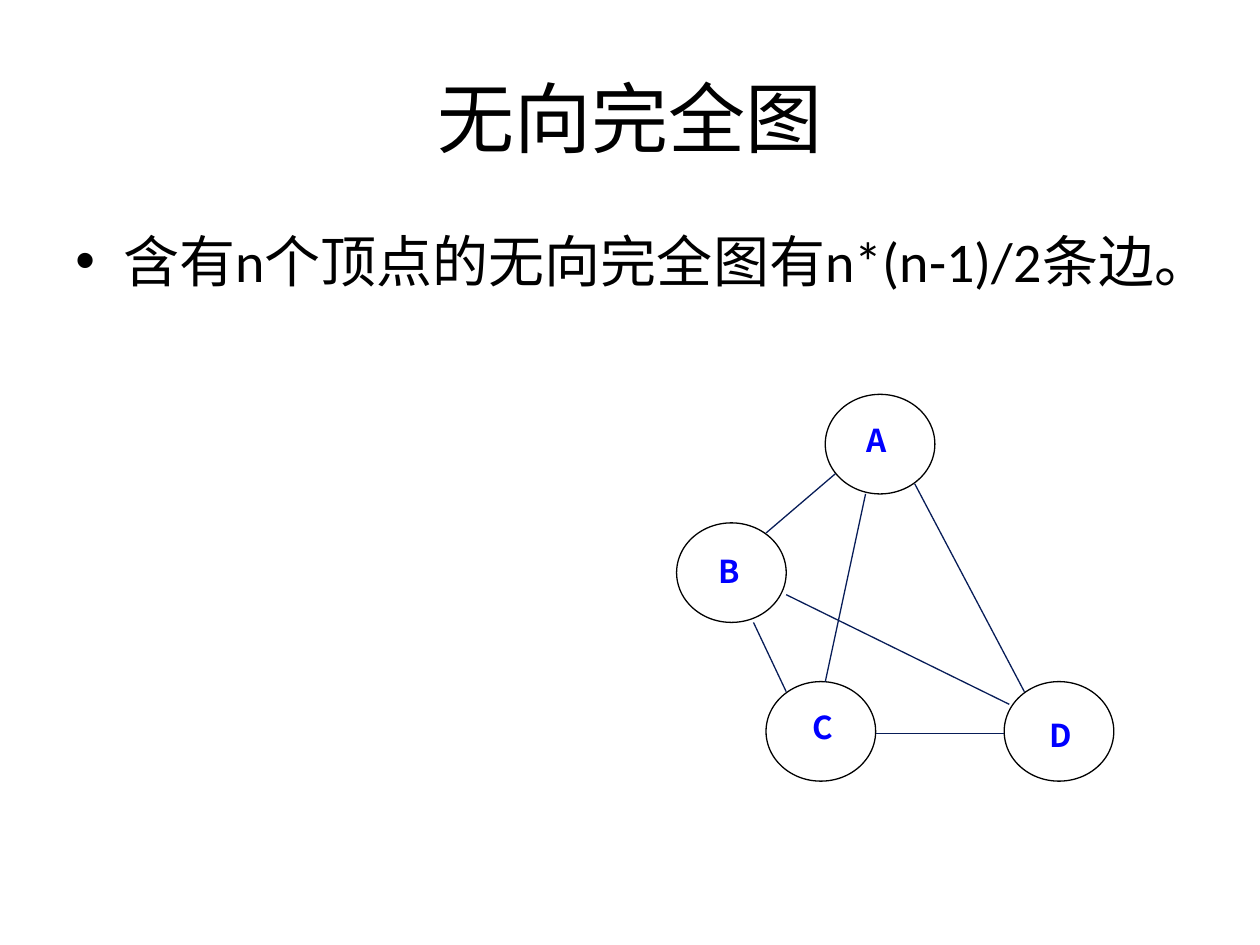
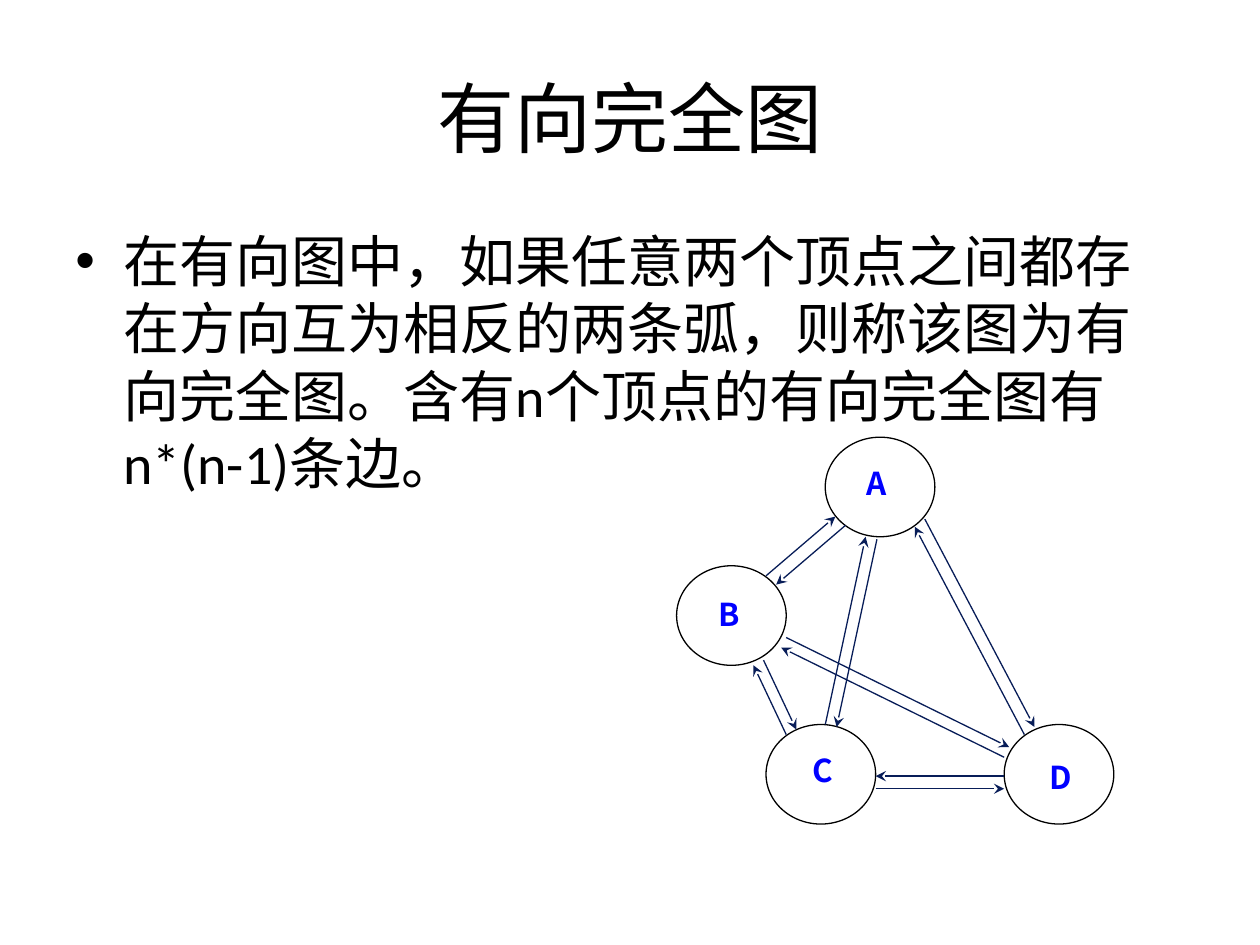
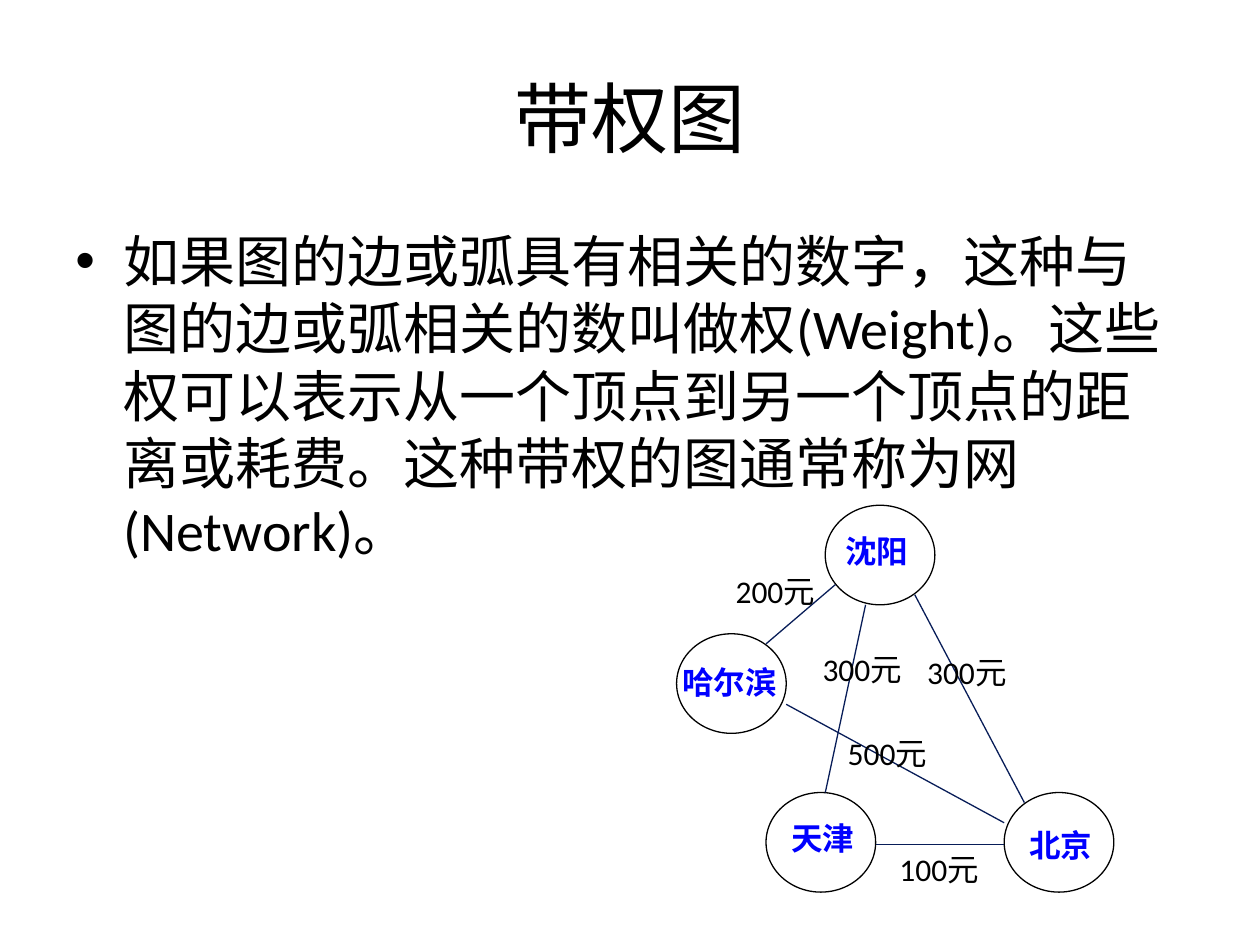
from pptx import Presentation
from pptx.dml.color import RGBColor
from pptx.enum.shapes import MSO_CONNECTOR, MSO_SHAPE
from pptx.enum.text import MSO_ANCHOR, PP_ALIGN
from pptx.oxml.ns import qn
from pptx.util import Inches, Pt
from lxml.etree import SubElement

# Shared style
BLACK = RGBColor(0x00, 0x00, 0x00)
BLUE = RGBColor(0x00, 0x00, 0xFF)
NAVY = RGBColor(0x08, 0x1D, 0x58)
LATIN = "Calibri"
CJK = "Noto Sans CJK SC"
LINE_W = Pt(0.75)

# Graph layout, placed for a graph that is not shifted down
NODE_W, NODE_H = 0.87, 0.79
NODES = {"A": (6.55, 3.13), "B": (5.37, 4.15), "C": (6.08, 5.41), "D": (7.97, 5.41)}
# Centre x and top of each node label
LABELS = {"A": (6.96, 3.2), "B": (5.79, 4.24), "C": (6.53, 5.48), "D": (8.42, 5.54)}
EDGES = {
    "AB": (6.63, 3.76, 6.08, 4.23),
    "AC": (6.87, 3.92, 6.55, 5.41),
    "AD": (7.26, 3.84, 8.13, 5.49),
    "BC": (5.98, 4.94, 6.24, 5.49),
    "CD": (6.95, 5.82, 7.97, 5.82),
    "DB": (8.01, 5.59, 6.24, 4.72),
}
# Shift of the opposite arc beside each edge
ARC_SHIFT = {
    "AB": (0.08, 0.07), "AC": (0.09, 0.02), "AD": (0.08, -0.06),
    "BC": (0.08, -0.04), "CD": (0, 0.1), "DB": (-0.04, 0.08),
}

# Weighted graph
CITIES = {"A": "沈阳", "B": "哈尔滨", "C": "天津", "D": "北京"}
ROADS = {name: EDGES[name] for name in ("AB", "AC", "AD", "CD")}
ROADS["DB"] = (7.97, 5.65, 6.24, 4.71)
PRICES = [("200元", 5.74, 4.49), ("300元", 6.43, 5.11), ("300元", 7.26, 5.13),
          ("500元", 6.63, 5.78), ("100元", 7.04, 6.7)]


def add_run(p, text, size, font=LATIN, color=BLACK, bold=False):
    r = p.add_run()
    r.text = text
    r.font.size = Pt(size)
    r.font.bold = bold
    r.font.color.rgb = color
    r.font.name = font
    SubElement(r.font._element, qn("a:ea")).set("typeface", CJK)


def add_box(s, x, y, w, h, wrap=True):
    tf = s.shapes.add_textbox(Inches(x), Inches(y), Inches(w), Inches(h)).text_frame
    tf.word_wrap = wrap
    return tf


def add_title(s, text):
    tf = add_box(s, 0.5, 0.3, 9, 1.25)
    tf.vertical_anchor = MSO_ANCHOR.MIDDLE
    p = tf.paragraphs[0]
    p.alignment = PP_ALIGN.CENTER
    add_run(p, text, 44)


def add_body(s, text):
    p = add_box(s, 0.5, 1.75, 9, 4.95).paragraphs[0]
    pPr = p._p.get_or_add_pPr()
    pPr.set("marL", str(Inches(0.38)))
    pPr.set("indent", str(Inches(-0.38)))
    SubElement(pPr, qn("a:buFont")).set("typeface", "Arial")
    SubElement(pPr, qn("a:buChar")).set("char", "•")
    add_run(p, text, 32)


def add_node(s, x, y):
    sp = s.shapes.add_shape(MSO_SHAPE.OVAL, Inches(x), Inches(y), Inches(NODE_W), Inches(NODE_H))
    sp.shadow.inherit = False
    sp.fill.background()
    sp.line.color.rgb = BLACK
    sp.line.width = LINE_W


def add_node_label(s, text, center, y):
    w = 0.2 + 0.25 * len(text)
    p = add_box(s, center - w / 2, y, w, 0.48, wrap=False).paragraphs[0]
    p.alignment = PP_ALIGN.CENTER
    p.line_spacing = 1.3
    add_run(p, text, 18, CJK, BLUE, bold=True)


def add_edge(s, x1, y1, x2, y2, arrow_end=None):
    line = s.shapes.add_connector(MSO_CONNECTOR.STRAIGHT, Inches(x1), Inches(y1),
                                  Inches(x2), Inches(y2))
    line.line.color.rgb = NAVY
    line.line.width = LINE_W
    if arrow_end:
        SubElement(line.line._get_or_add_ln(), qn(arrow_end)).set("type", "stealth")
    SubElement(line._element.spPr, qn("a:effectLst"))


def add_graph(s, dy, edges=EDGES, names=None, directed=False):
    for x, y in NODES.values():
        add_node(s, x, y + dy)
    for key, (center, y) in LABELS.items():
        add_node_label(s, names[key] if names else key, center, y + dy)
    for key, (x1, y1, x2, y2) in edges.items():
        add_edge(s, x1, y1 + dy, x2, y2 + dy, "a:headEnd" if directed else None)
        if directed:
            sx, sy = ARC_SHIFT[key]
            add_edge(s, x1 + sx, y1 + dy + sy, x2 + sx, y2 + dy + sy, "a:tailEnd")


def add_price(s, text, x, y):
    add_run(add_box(s, x, y, 0.84, 0.4).paragraphs[0], text, 18)


def add_slide(prs, title, body):
    s = prs.slides.add_slide(prs.slide_layouts[6])
    add_title(s, title)
    add_body(s, body)
    return s


def main():
    prs = Presentation()
    prs.slide_width, prs.slide_height = Inches(10), Inches(7.5)

    # Undirected complete graph
    s = add_slide(prs, "无向完全图", "含有n个顶点的无向完全图有n*(n-1)/2条边。")
    add_graph(s, 0)

    # Directed complete graph
    s = add_slide(prs, "有向完全图",
                  "在有向图中，如果任意两个顶点之间都存在方向互为相反的两条弧，"
                  "则称该图为有向完全图。含有n个顶点的有向完全图有n*(n-1)条边。")
    add_graph(s, 0.34, directed=True)

    # Weighted graph
    s = add_slide(prs, "带权图",
                  "如果图的边或弧具有相关的数字，这种与图的边或弧相关的数叫做权(Weight)。"
                  "这些权可以表示从一个顶点到另一个顶点的距离或耗费。"
                  "这种带权的图通常称为网(Network)。")
    add_graph(s, 0.88, ROADS, CITIES)
    for text, x, y in PRICES:
        add_price(s, text, x, y)

    prs.save("out.pptx")


if __name__ == "__main__":
    main()
